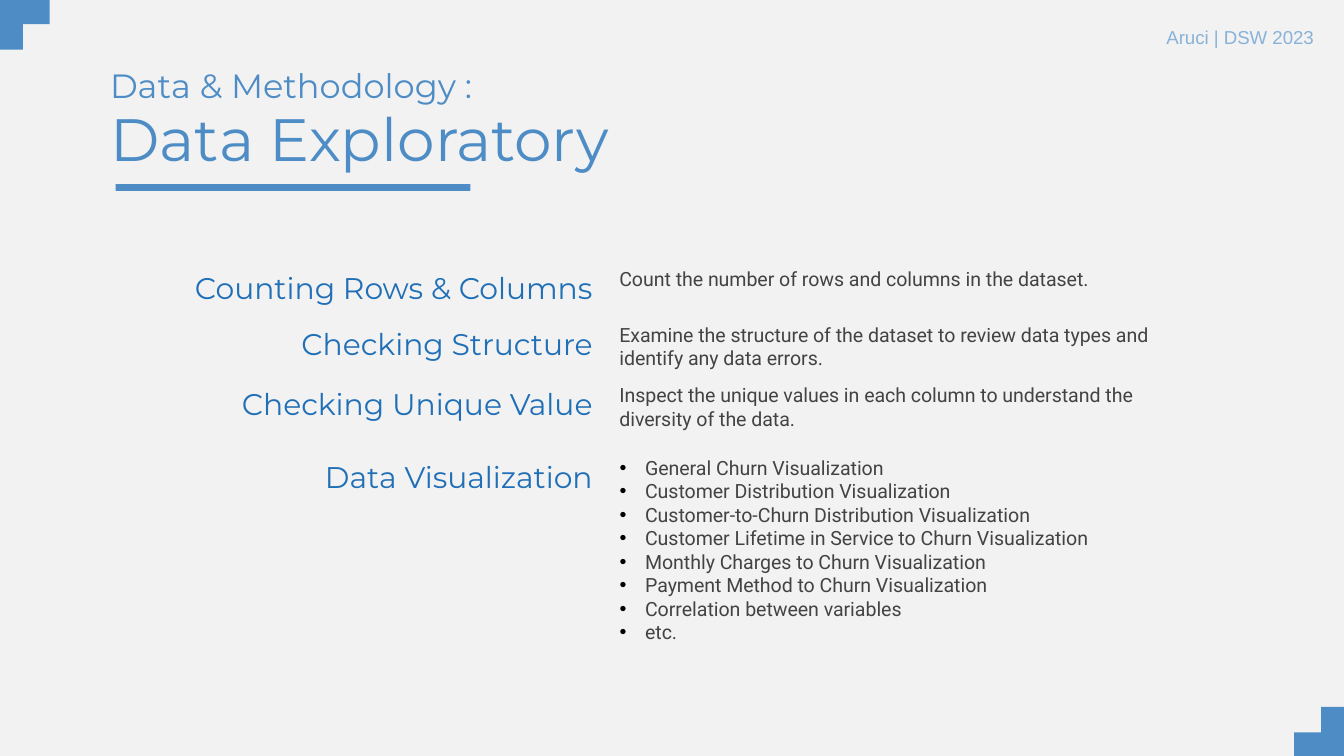
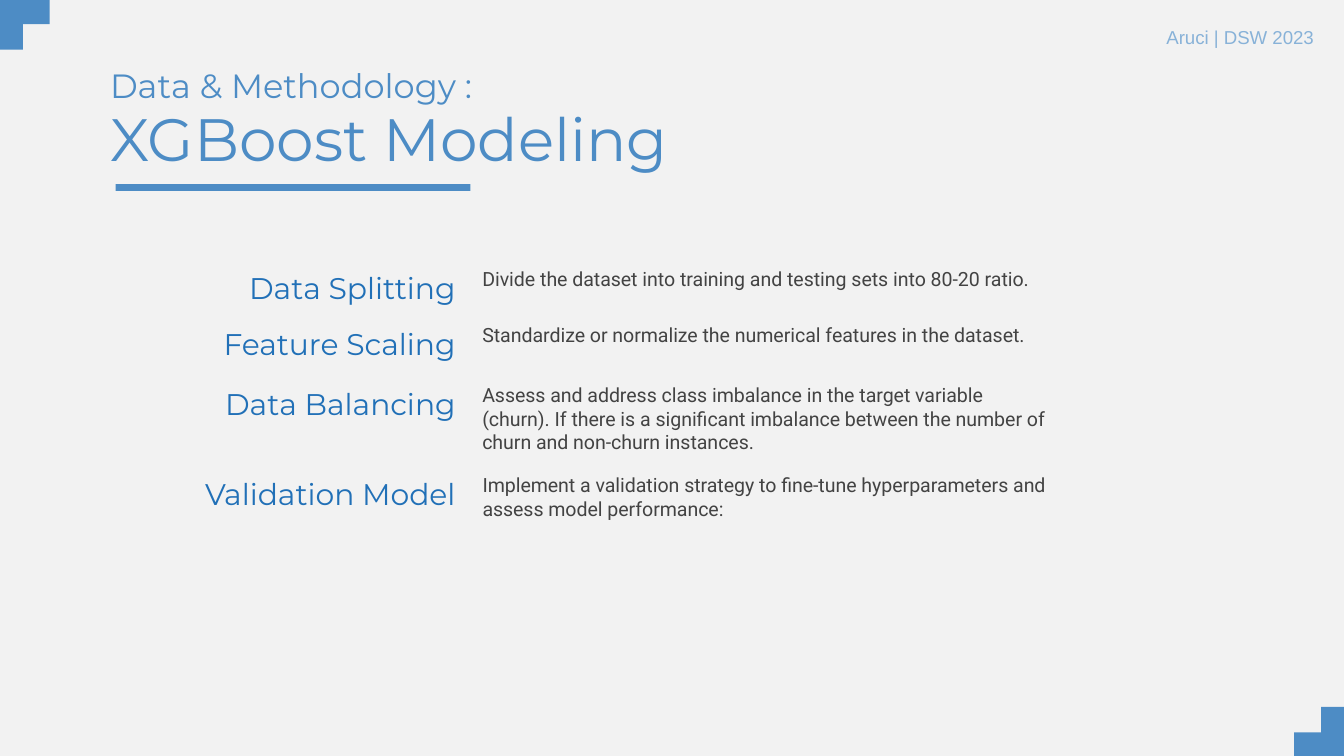
from lxml.etree import SubElement
from pptx import Presentation
from pptx.dml.color import RGBColor
from pptx.enum.shapes import MSO_SHAPE as Shape
from pptx.enum.text import MSO_ANCHOR as Anchor, MSO_AUTO_SIZE as Fit, PP_ALIGN as Align
from pptx.oxml.ns import qn
from pptx.util import Inches, Pt

PALE = RGBColor(0xF2, 0xF2, 0xF2)
BLUE = RGBColor(0x4D, 0x8C, 0xC5)
LIGHT = RGBColor(0x88, 0xB2, 0xD8)
DEEP = RGBColor(0x21, 0x70, 0xB7)
GREY = RGBColor(0x43, 0x43, 0x43)

TITLE = ("Montserrat", 32, BLUE)
TOPIC = ("Montserrat", 18, BLUE)
LABEL = ("Montserrat", 16, DEEP)
BODY = ("Roboto", 10.5, GREY)
TAG = ("Arial", 10, LIGHT)

WIDTH = 10
HEIGHT = WIDTH * 9 / 16
LABEL_W, BODY_W = 3.33, 4.41

EXPLORE = [
    (1.91, "Counting Rows & Columns",
     "Count the number of rows and columns in the dataset."),
    (2.32, "Checking Structure",
     "Examine the structure of the dataset to review data types and identify any data errors."),
    (2.77, "Checking Unique Value",
     "Inspect the unique values in each column to understand the diversity of the data."),
    (3.31, "Data Visualization", [
        "General Churn Visualization",
        "Customer Distribution Visualization",
        "Customer-to-Churn Distribution Visualization",
        "Customer Lifetime in Service to Churn Visualization",
        "Monthly Charges to Churn Visualization",
        "Payment Method to Churn Visualization",
        "Correlation between variables",
        "etc.",
    ]),
]

MODEL = [
    (1.91, "Data Splitting",
     "Divide the dataset into training and testing sets into 80-20 ratio."),
    (2.32, "Feature Scaling",
     "Standardize or normalize the numerical features in the dataset."),
    (2.77, "Data Balancing",
     "Assess and address class imbalance in the target variable (churn). If there is a "
     "significant imbalance between the number of churn and non-churn instances."),
    (3.44, "Validation Model",
     "Implement a validation strategy to fine-tune hyperparameters and assess model performance:"),
]


def place(shape, x, y, w, h):
    shape.left, shape.top = Inches(x), Inches(y)
    shape.width, shape.height = Inches(w), Inches(h)


def set_bullet(para, on):
    props = para._p.get_or_add_pPr()
    indent = Inches(0.19) if on else 0
    props.set("marL", str(indent))
    props.set("indent", str(-indent))
    if on:
        color = SubElement(props, qn("a:buClr"))
        SubElement(color, qn("a:srgbClr"), val="000000")
        SubElement(props, qn("a:buFont"), typeface="Arial")
        SubElement(props, qn("a:buChar"), char="•")
    else:
        SubElement(props, qn("a:buNone"))


def write(shape, text, style, align=Align.LEFT, anchor=Anchor.TOP):
    frame = shape.text_frame
    frame.word_wrap = True
    frame.auto_size = Fit.NONE
    frame.vertical_anchor = anchor
    frame.margin_left = frame.margin_right = Inches(0.1)
    frame.margin_top = frame.margin_bottom = Inches(0.1)
    listed = isinstance(text, list)
    name, size, color = style
    for i, line in enumerate(text if listed else [text]):
        para = frame.add_paragraph() if i else frame.paragraphs[0]
        set_bullet(para, listed)
        para.alignment = align
        para.space_before = Pt(0)
        run = para.add_run()
        run.text = line
        run.font.name, run.font.size = name, Pt(size)
        run.font.color.rgb = color


def add_text(slide, box, text, style, **look):
    shape = slide.shapes.add_textbox(*map(Inches, box))
    write(shape, text, style, **look)
    return shape


def fill_holder(holder, box, text, style, **look):
    place(holder, *box)
    write(holder, text, style, **look)


def add_block(shapes, x, y, w, h):
    block = shapes.add_shape(Shape.RECTANGLE, *map(Inches, (x, y, w, h)))
    block.shadow.inherit = False
    block.fill.solid()
    block.fill.fore_color.rgb = BLUE
    block.line.fill.background()


def add_corner(slide, x, y):
    group = slide.shapes.add_group_shape()
    for step in (0, 1):
        add_block(group.shapes, x + 0.2 * step, y - 0.19 * step, 0.54, 0.54)


def add_frame(slide, title):
    fill_holder(slide.shapes.title, (0.72, 0.53, 6.48, 0.99), title, TITLE,
                anchor=Anchor.MIDDLE)
    add_block(slide.shapes, 0.86, 1.37, 2.64, 0.05)
    add_corner(slide, -0.37, -0.17)
    add_corner(slide, 9.63, 5.45)
    tag = add_text(slide, (8.58, 0.14, 1.31, 0.27), "Aruci | DSW 2023", TAG).text_frame
    tag.margin_top = tag.margin_bottom = Inches(0.05)
    tag.word_wrap = False
    tag.auto_size = Fit.SHAPE_TO_FIT_TEXT
    add_text(slide, (0.72, 0.14, 6.48, 0.99), "Data & Methodology :", TOPIC,
             anchor=Anchor.MIDDLE)


def add_rows(slide, left, rows):
    for i, (top, label, text) in enumerate(rows, 1):
        add_text(slide, (left, top, LABEL_W, 0.7), label, LABEL, align=Align.RIGHT)
        spot = (left + LABEL_W, top - 0.02, BODY_W)
        if i == len(rows):
            fill_holder(slide.placeholders[1], (*spot, 1.65), text, BODY)
        else:
            add_text(slide, (*spot, 0.83), text, BODY)


def main():
    deck = Presentation()
    deck.slide_width, deck.slide_height = Inches(WIDTH), Inches(HEIGHT)
    back = deck.slide_master.background.fill
    back.solid()
    back.fore_color.rgb = PALE
    for title, left, rows in (
        ("Data Exploratory", 1.18, EXPLORE),
        ("XGBoost Modeling", 0.16, MODEL),
    ):
        slide = deck.slides.add_slide(deck.slide_layouts[1])
        add_frame(slide, title)
        add_rows(slide, left, rows)
    deck.save("out.pptx")


if __name__ == "__main__":
    main()
